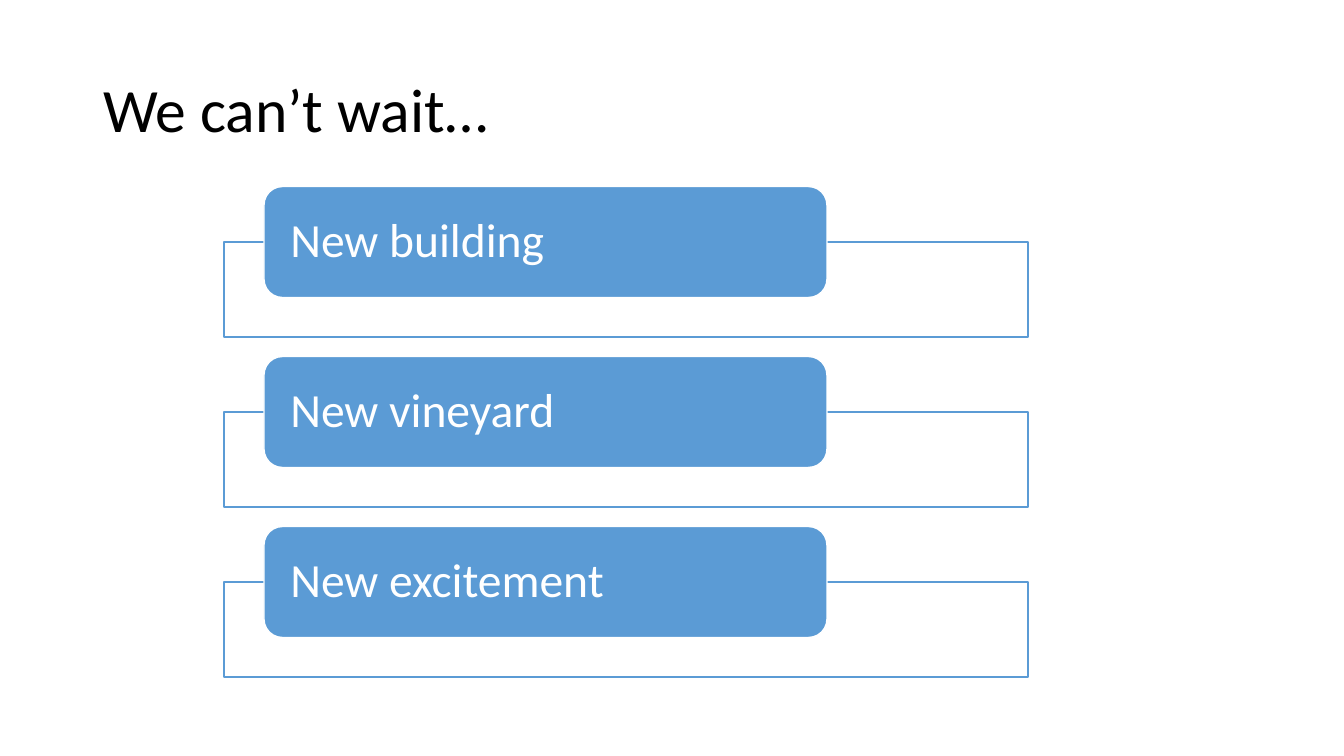
from pptx import Presentation
from pptx.dml.color import RGBColor
from pptx.enum.shapes import MSO_SHAPE
from pptx.enum.text import MSO_ANCHOR, MSO_AUTO_SIZE, PP_ALIGN
from pptx.util import Pt

TITLE = "We can’t wait…"
REASONS = ["New building", "New vineyard", "New excitement"]

BLACK = RGBColor(0x00, 0x00, 0x00)
WHITE = RGBColor(0xFF, 0xFF, 0xFF)
BLUE = RGBColor(0x5B, 0x9B, 0xD5)
FONT = "Calibri"

SLIDE_W, SLIDE_H = 1344, 756
TITLE_BOX = (93, 40, 1159, 146)
FRAME_X, FRAME_Y, FRAME_W, FRAME_H = 224, 242, 804, 95
TAB_X, TAB_W, TAB_H = 264, 563, 111
ROW_PITCH = 170
TAB_INSET = 26


def px(n):
    return round(n * 914400 / 100.8)


def set_text(tf, text, size, color):
    tf.text = text
    tf.word_wrap = True
    tf.auto_size = MSO_AUTO_SIZE.NONE
    tf.vertical_anchor = MSO_ANCHOR.MIDDLE
    p = tf.paragraphs[0]
    p.alignment = PP_ALIGN.LEFT
    p.line_spacing = 0.9
    font = p.runs[0].font
    font.name, font.size, font.color.rgb = FONT, Pt(size), color


def add_box(slide, kind, box, fill, line):
    sp = slide.shapes.add_shape(kind, *map(px, box))
    sp.shadow.inherit = False
    sp.fill.solid()
    sp.fill.fore_color.rgb = fill
    sp.line.color.rgb = line
    sp.line.width = Pt(1)
    return sp


def main():
    prs = Presentation()
    prs.slide_width, prs.slide_height = px(SLIDE_W), px(SLIDE_H)
    slide = prs.slides.add_slide(prs.slide_layouts[5])

    title = slide.shapes.title
    title.left, title.top, title.width, title.height = map(px, TITLE_BOX)
    set_text(title.text_frame, TITLE, 44, BLACK)

    for i, reason in enumerate(REASONS):
        y = FRAME_Y + i * ROW_PITCH
        add_box(slide, MSO_SHAPE.RECTANGLE, (FRAME_X, y, FRAME_W, FRAME_H), WHITE, BLUE)
        # Each tab is centred on the top edge of its frame
        tab = add_box(slide, MSO_SHAPE.ROUNDED_RECTANGLE,
                      (TAB_X, y - TAB_H / 2, TAB_W, TAB_H), BLUE, WHITE)
        tf = tab.text_frame
        set_text(tf, reason, 34, WHITE)
        tf.margin_left = tf.margin_right = px(TAB_INSET - 5)
        tf.margin_top = tf.margin_bottom = 0

    prs.save("out.pptx")


if __name__ == "__main__":
    main()
